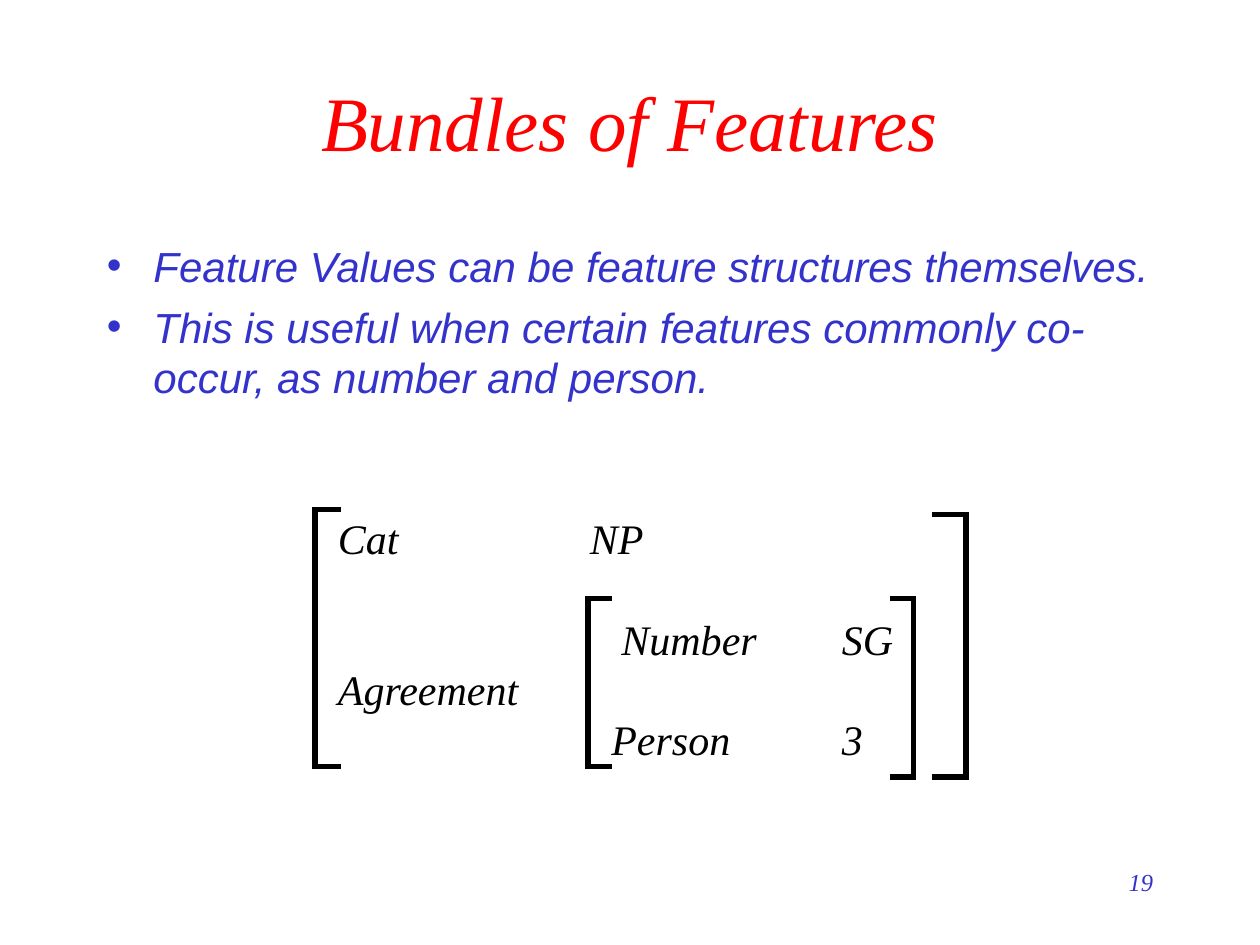
from dataclasses import dataclass

import pptx
import pptx.dml.color
import pptx.enum.shapes
import pptx.enum.text
import pptx.oxml
import pptx.oxml.ns
import pptx.util

UNITS_PER_INCH = 12
SERIF, SANS = "Times New Roman", "Arial"
BLUE, RED, BLACK = "3333CC", "FF0000", "000000"
ALIGN = pptx.enum.text.PP_ALIGN
LINE_PITCH = 28.8


@dataclass(frozen=True)
class Area:
    column: float
    row: float
    columns: float
    rows: float


@dataclass(frozen=True)
class Bracket:
    spine: float
    tip: float
    top: float
    bottom: float


@dataclass(frozen=True)
class FeatureRow:
    text: str
    tabs: tuple[float, ...] = ()
    space_before: float = 0


BULLETS = (
    "Feature Values can be feature structures themselves.",
    "This is useful when certain features commonly co-occur, as number and person.",
)
FEATURES = (
    FeatureRow("Cat\tNP", (2,)),
    FeatureRow("\tNumber\tSG", (2.25, 4), LINE_PITCH),
    FeatureRow("Agreement"),
    FeatureRow("\tPerson\t3", (2.17, 4)),
)
BRACKETS = (
    Bracket(30, 32.2, 48.5, 73),
    Bracket(92, 89, 49, 74),
    Bracket(87, 85, 57, 74),
    Bracket(56, 58, 57, 73),
)


def grid(units: float) -> int:
    return pptx.util.Inches(units / UNITS_PER_INCH)


def color(value: str) -> pptx.dml.color.RGBColor:
    return pptx.dml.color.RGBColor.from_string(value)


def add_element(parent, tag: str, **attributes: str):
    element = pptx.oxml.parse_xml(f"<a:{tag} {pptx.oxml.ns.nsdecls('a')}/>")
    for name, value in attributes.items():
        element.set(name, value)
    parent.append(element)
    return element


def add_frame(page, area: Area, wrap: bool = True):
    box = page.shapes.add_textbox(
        grid(area.column), grid(area.row), grid(area.columns), grid(area.rows)
    )
    box.text_frame.word_wrap = wrap
    return box.text_frame


def next_paragraph(frame, index: int):
    return frame.add_paragraph() if index else frame.paragraphs[0]


def style(para, name: str, size: float, hue: str) -> None:
    font = para.font
    font.name, font.size, font.italic = name, pptx.util.Pt(size), True
    font.color.rgb = color(hue)


def add_label(page, area: Area, text: str, size: float, hue: str, align) -> None:
    frame = add_frame(page, area)
    frame.vertical_anchor = (
        pptx.enum.text.MSO_ANCHOR.MIDDLE
        if align == ALIGN.CENTER
        else pptx.enum.text.MSO_ANCHOR.TOP
    )
    para = frame.paragraphs[0]
    para.text, para.alignment = text, align
    style(para, SERIF, size, hue)


def add_bullets(page, area: Area) -> None:
    frame = add_frame(page, area)
    for index, text in enumerate(BULLETS):
        para = next_paragraph(frame, index)
        para.text = text
        para.line_spacing = pptx.util.Pt(LINE_PITCH)
        para.space_before = pptx.util.Pt(6 if index else 0)
        properties = para._p.get_or_add_pPr()
        indent = pptx.util.Inches(0.37)
        properties.set("marL", str(indent))
        properties.set("indent", str(-indent))
        add_element(properties, "buFont", typeface=SANS)
        add_element(properties, "buChar", char="•")
        style(para, SANS, 24, BLUE)


def add_features(page, area: Area) -> None:
    frame = add_frame(page, area, wrap=False)
    for index, row in enumerate(FEATURES):
        para = next_paragraph(frame, index)
        para.text = row.text
        para.line_spacing = pptx.util.Pt(LINE_PITCH)
        para.space_before = pptx.util.Pt(row.space_before)
        if row.tabs:
            stops = add_element(para._p.get_or_add_pPr(), "tabLst")
            for stop in row.tabs:
                add_element(stops, "tab", pos=str(pptx.util.Inches(stop)), algn="l")
        style(para, SERIF, 24, BLACK)


def add_line(page, start: tuple[float, float], end: tuple[float, float]) -> None:
    line = page.shapes.add_connector(
        pptx.enum.shapes.MSO_CONNECTOR.STRAIGHT, *map(grid, (*start, *end))
    )
    line.line.color.rgb = color(BLACK)
    line.line.width = pptx.util.Pt(3)
    line.line._get_or_add_ln().set("cap", "sq")
    add_element(line._element.spPr, "effectLst")


def add_bracket(page, bracket: Bracket) -> None:
    add_line(page, (bracket.spine, bracket.top), (bracket.spine, bracket.bottom))
    for row in (bracket.top, bracket.bottom):
        add_line(page, (bracket.spine, row), (bracket.tip, row))


def main() -> None:
    deck = pptx.Presentation()
    deck.slide_width, deck.slide_height = grid(120), grid(90)
    page = deck.slides.add_slide(deck.slide_layouts[6])
    add_label(page, Area(86, 82, 25, 6), "19", 14, BLUE, ALIGN.RIGHT)
    add_label(page, Area(9, 4, 102, 15), "Bundles of Features", 44, RED, ALIGN.CENTER)
    add_bullets(page, Area(9, 22.3, 102, 54))
    add_features(page, Area(31, 48.2, 55.3, 26))
    for bracket in BRACKETS:
        add_bracket(page, bracket)
    deck.save("out.pptx")


if __name__ == "__main__":
    main()
